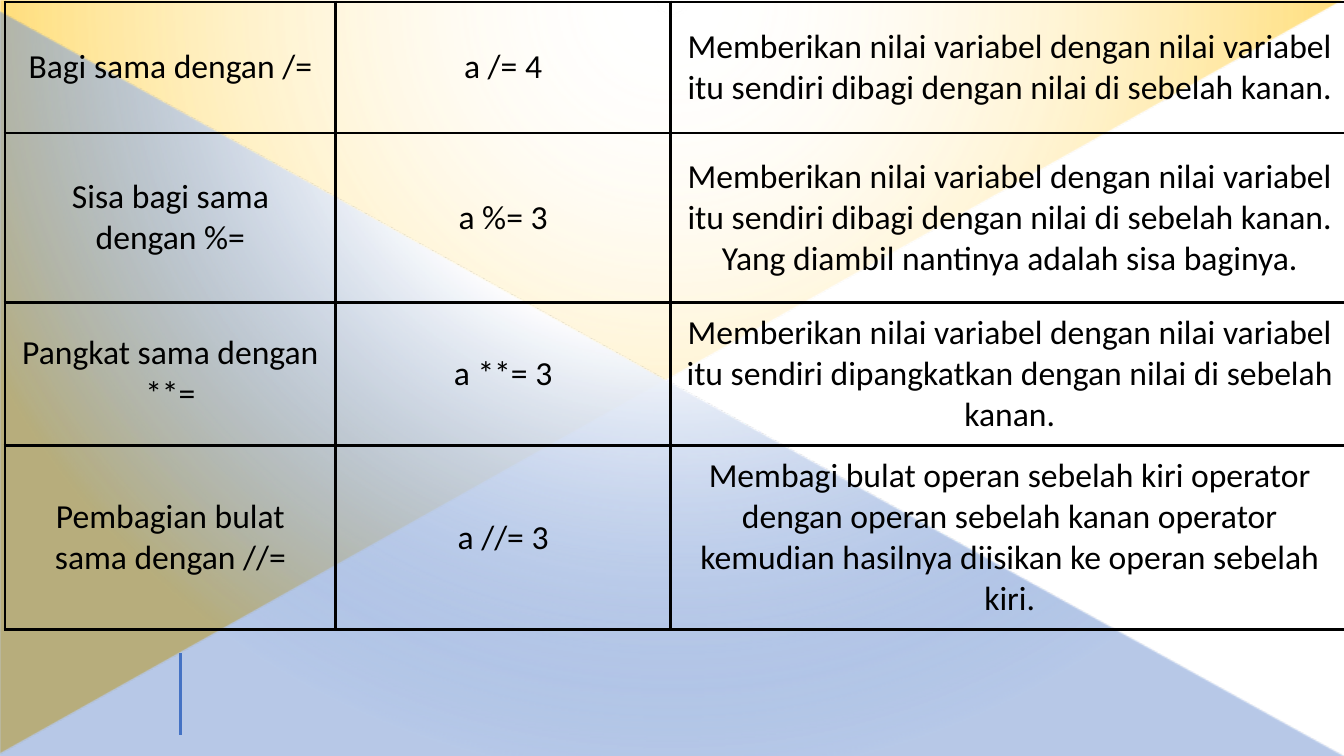
from dataclasses import dataclass

from lxml import etree
from pptx import Presentation
from pptx.dml.color import RGBColor
from pptx.enum.shapes import MSO_CONNECTOR, MSO_SHAPE
from pptx.enum.text import MSO_ANCHOR, PP_ALIGN
from pptx.oxml import parse_xml
from pptx.oxml.ns import nsdecls, qn
from pptx.util import Inches, Pt

TRIANGLE = MSO_SHAPE.ISOSCELES_TRIANGLE
STRAIGHT = MSO_CONNECTOR.STRAIGHT
MIDDLE = MSO_ANCHOR.MIDDLE
CENTER = PP_ALIGN.CENTER


@dataclass(frozen=True)
class Theme:
    font: str = "Calibri"
    text_size: float = 24
    text: str = "000000"
    border: str = "000000"
    border_width: float = 2.25
    white: str = "FFFFFF"
    gold: str = "FFC000"
    blue: str = "4472C4"


THEME = Theme()


@dataclass(frozen=True)
class GradientStop:
    position: int
    color: str
    opacity: int = 100


@dataclass(frozen=True)
class BackgroundTriangle:
    top: float
    height: float
    stops: tuple[GradientStop, ...]
    upside_down: bool = False
    outline_opacity: int = 0


@dataclass(frozen=True)
class OperatorRow:
    name: str
    example: str
    description: str
    height: float


TRIANGLES = (
    BackgroundTriangle(0, 7.48, (
        GradientStop(0, THEME.white, 90),
        GradientStop(2, THEME.white, 0),
        GradientStop(100, THEME.gold, 68),
    ), upside_down=True, outline_opacity=42),
    BackgroundTriangle(0.12, 7.38, (
        GradientStop(0, THEME.white),
        GradientStop(42, THEME.white),
        GradientStop(100, THEME.blue, 38),
    )),
)

COLUMN_WIDTHS = (3.28, 3.32, 6.73)
OPERATORS = (
    OperatorRow("Bagi sama dengan /=", "a /= 4",
                "Memberikan nilai variabel dengan nilai variabel itu sendiri "
                "dibagi dengan nilai di sebelah kanan.", 1.3),
    OperatorRow("Sisa bagi sama dengan %=", "a %= 3",
                "Memberikan nilai variabel dengan nilai variabel itu sendiri "
                "dibagi dengan nilai di sebelah kanan. "
                "Yang diambil nantinya adalah sisa baginya.", 1.68),
    OperatorRow("Pangkat sama dengan **=", "a **= 3",
                "Memberikan nilai variabel dengan nilai variabel itu sendiri "
                "dipangkatkan dengan nilai di sebelah kanan.", 1.3),
    OperatorRow("Pembagian bulat sama dengan //=", "a //= 3",
                "Membagi bulat operan sebelah kiri operator dengan operan "
                "sebelah kanan operator kemudian hasilnya diisikan ke operan "
                "sebelah kiri.", 1.68),
)


def color_xml(color: str, opacity: int) -> str:
    return (f'<a:srgbClr val="{color}">'
            f'<a:alpha val="{opacity * 1000}"/></a:srgbClr>')


def set_radial_fill(shape, stops: tuple[GradientStop, ...]) -> None:
    """Fill with a circular gradient centred above the shape."""
    stops_xml = "".join(
        f'<a:gs pos="{stop.position * 1000}">'
        f'{color_xml(stop.color, stop.opacity)}</a:gs>' for stop in stops)
    gradient = parse_xml(
        f'<a:gradFill {nsdecls("a")} rotWithShape="1">'
        f'<a:gsLst>{stops_xml}</a:gsLst><a:path path="circle">'
        '<a:fillToRect l="50000" t="-80000" r="50000" b="180000"/>'
        '</a:path></a:gradFill>')
    shape.fill.background()
    properties = shape.element.spPr
    properties.replace(properties.find(qn("a:noFill")), gradient)


def add_triangle(slide, triangle: BackgroundTriangle) -> None:
    shape = slide.shapes.add_shape(
        TRIANGLE, 0, Inches(triangle.top),
        Inches(13.33), Inches(triangle.height))
    shape.shadow.inherit = False
    shape.adjustments[0] = 0
    set_radial_fill(shape, triangle.stops)
    if triangle.upside_down:
        shape.rotation = 180
        shape.element.spPr.find(qn("a:xfrm")).set("flipH", "1")
    if triangle.outline_opacity:
        shape.line.width = Pt(1)
        shape.line.color.rgb = RGBColor.from_string(THEME.white)
        color = shape.line._ln.find(f'.//{qn("a:srgbClr")}')
        alpha = etree.SubElement(color, qn("a:alpha"))
        alpha.set("val", str(triangle.outline_opacity * 1000))
    else:
        shape.line.fill.background()


def add_accent_line(slide) -> None:
    line = slide.shapes.add_connector(
        STRAIGHT, Inches(1.79), Inches(6.48), Inches(1.79), Inches(7.29))
    line.line.color.rgb = RGBColor.from_string(THEME.blue)
    line.line.width = Pt(1.5)
    etree.SubElement(line.element.spPr, qn("a:effectLst"))


def set_borders(cell) -> None:
    properties = cell._tc.get_or_add_tcPr()
    for index, side in enumerate(("lnL", "lnR", "lnT", "lnB")):
        properties.insert(index, parse_xml(
            f'<a:{side} {nsdecls("a")} w="{Pt(THEME.border_width)}">'
            f'<a:solidFill>{color_xml(THEME.border, 100)}</a:solidFill>'
            f'<a:prstDash val="solid"/></a:{side}>'))


def fill_cell(cell, text: str) -> None:
    cell.fill.background()
    set_borders(cell)
    cell.vertical_anchor = MIDDLE
    cell.margin_left = cell.margin_right = Inches(0.16)
    cell.margin_top = cell.margin_bottom = Inches(0.1)
    paragraph = cell.text_frame.paragraphs[0]
    paragraph.alignment = CENTER
    run = paragraph.add_run()
    run.text = text
    run.font.name = THEME.font
    run.font.size = Pt(THEME.text_size)
    run.font.color.rgb = RGBColor.from_string(THEME.text)


def add_operator_table(slide) -> None:
    table = slide.shapes.add_table(
        len(OPERATORS), len(COLUMN_WIDTHS), Inches(0.05), Inches(0.02),
        Inches(sum(COLUMN_WIDTHS)),
        Inches(sum(operator.height for operator in OPERATORS))).table
    table.first_row = False
    table.horz_banding = False
    for column, width in zip(table.columns, COLUMN_WIDTHS):
        column.width = Inches(width)
    for row, operator in zip(table.rows, OPERATORS):
        row.height = Inches(operator.height)
        texts = (operator.name, operator.example, operator.description)
        for cell, text in zip(row.cells, texts):
            fill_cell(cell, text)


def main() -> None:
    presentation = Presentation()
    presentation.slide_width = Inches(13.33)
    presentation.slide_height = Inches(7.5)
    slide = presentation.slides.add_slide(presentation.slide_layouts[6])
    for triangle in TRIANGLES:
        add_triangle(slide, triangle)
    add_accent_line(slide)
    add_operator_table(slide)
    presentation.save("out.pptx")


if __name__ == "__main__":
    main()
